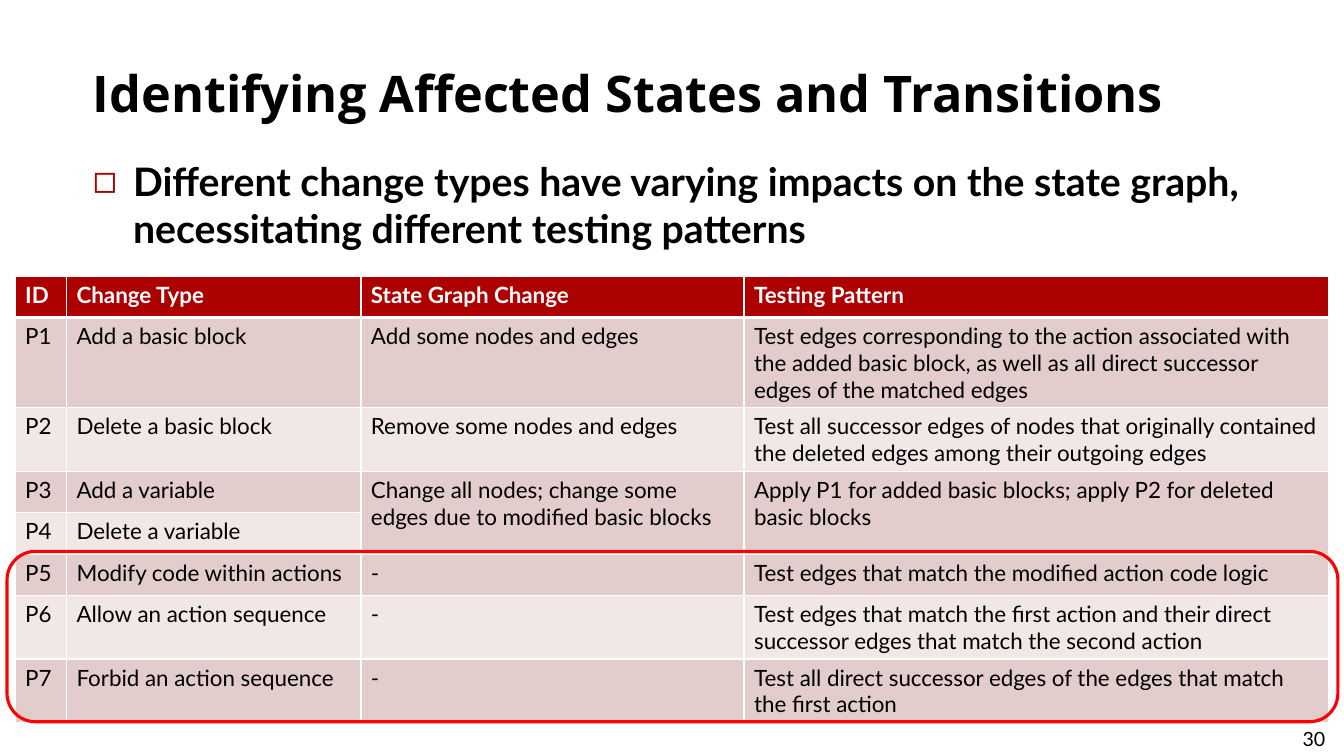
from lxml import etree
from pptx import Presentation
from pptx.dml.color import RGBColor
from pptx.enum.shapes import MSO_SHAPE as Shape
from pptx.enum.text import MSO_ANCHOR as Anchor, MSO_AUTO_SIZE as Auto, PP_ALIGN as Align
from pptx.oxml.ns import qn
from pptx.util import Inches, Pt

RED, WHITE, BLACK = "AD0101", "FFFFFF", "000000"
BANDS = ["E3CCCC", "F1E7E7"]
WIDTHS = [0.51, 2.92, 3.8, 5.8]
ROW = 0.41
ROWS = [
    ["ID", "Change Type", "State Graph Change", "Testing Pattern"],
    ["P1", "Add a basic block", "Add some nodes and edges",
     "Test edges corresponding to the action associated with the added basic block, "
     "as well as all direct successor edges of the matched edges"],
    ["P2", "Delete a basic block", "Remove some nodes and edges",
     "Test all successor edges of nodes that originally contained the deleted edges "
     "among their outgoing edges"],
    ["P3", "Add a variable",
     "Change all nodes; change some edges due to modified basic blocks",
     "Apply P1 for added basic blocks; apply P2 for deleted basic blocks"],
    ["P4", "Delete a variable", None, None],  # None continues the cell above
    ["P5", "Modify code within actions", "-",
     "Test edges that match the modified action code logic"],
    ["P6", "Allow an action sequence", "-",
     "Test edges that match the first action and their direct successor edges "
     "that match the second action"],
    ["P7", "Forbid an action sequence", "-",
     "Test all direct successor edges of the edges that match the first action"],
]


def color(code):
    return RGBColor.from_string(code)


def style(para, size, code=BLACK, bold=False, face="Lato"):
    font = para.font
    font.name, font.size, font.bold = face, Pt(size), bold
    font.color.rgb = color(code)


def place(shape, box):
    shape.left, shape.top, shape.width, shape.height = map(Inches, box)


def add_title(slide, box, text):
    title = slide.shapes.title
    place(title, box)
    frame = title.text_frame
    frame.text = text
    frame.auto_size, frame.vertical_anchor = Auto.NONE, Anchor.BOTTOM
    para = frame.paragraphs[0]
    para.alignment, para.line_spacing = Align.LEFT, Pt(46.7)
    style(para, 36, bold=True, face="Open Sans")


def add_body(slide, box, text):
    body = slide.placeholders[1]
    place(body, box)
    frame = body.text_frame
    frame.text = text
    frame.auto_size = Auto.NONE
    para = frame.paragraphs[0]
    # Hanging square bullet
    props = para._p.get_or_add_pPr()
    props.set("marL", str(Inches(0.4)))
    props.set("indent", str(-Inches(0.4)))
    tint = etree.SubElement(props, qn("a:buClr"))
    etree.SubElement(tint, qn("a:srgbClr"), val=RED)
    etree.SubElement(props, qn("a:buChar"), char="◻")
    para.space_before = Pt(0)
    style(para, 28, bold=True)


def add_edge(cell, side, width):
    props = cell._tc.get_or_add_tcPr()
    line = etree.SubElement(props, qn("a:ln" + side), w=str(Pt(width)))
    fill = etree.SubElement(line, qn("a:solidFill"))
    etree.SubElement(fill, qn("a:srgbClr"), val=WHITE)


def fill_cell(cell, text, row):
    head = row == 0
    for side in "LRTB":
        thick = (side == "B" and head) or (side == "T" and row == 1)
        add_edge(cell, side, 3 if thick else 1)
    cell.fill.solid()
    cell.fill.fore_color.rgb = color(RED if head else BANDS[(row - 1) % 2])
    cell.text = text or ""
    style(cell.text_frame.paragraphs[0], 16, WHITE if head else BLACK, head)


def add_grid(slide, left, top):
    size = sum(WIDTHS), ROW * len(ROWS)
    frame = slide.shapes.add_table(len(ROWS), len(WIDTHS),
                                   *map(Inches, (left, top, *size)))
    table = frame.table
    for col, width in zip(table.columns, WIDTHS):
        col.width = Inches(width)
    for r, texts in enumerate(ROWS):
        table.rows[r].height = Inches(ROW)
        for c, text in enumerate(texts):
            fill_cell(table.cell(r, c), text, r)
            if text is None:
                table.cell(r - 1, c).merge(table.cell(r, c))


def add_frame(slide, box):
    ring = slide.shapes.add_shape(Shape.ROUNDED_RECTANGLE, *map(Inches, box))
    ring.shadow.inherit = False
    ring.fill.background()
    ring.line.color.rgb = color("FF0000")
    ring.line.width = Pt(2.25)


def add_number(slide, box, text):
    frame = slide.shapes.add_textbox(*map(Inches, box)).text_frame
    frame.word_wrap = True
    frame.text = text
    style(frame.paragraphs[0], 14)


def main():
    deck = Presentation()
    deck.slide_width, deck.slide_height = Inches(13.33), Inches(7.5)
    slide = deck.slides.add_slide(deck.slide_layouts[1])
    add_title(slide, (0.82, 0.34, 11.84, 0.93),
              "Identifying Affected States and Transitions")
    add_body(slide, (0.82, 1.51, 11.84, 1.74),
             "Different change types have varying impacts on the state graph, "
             "necessitating different testing patterns")
    add_grid(slide, 0.15, 2.74)
    # Highlight around the last three patterns
    add_frame(slide, (0.07, 5.47, 13.2, 1.69))
    add_number(slide, (12.82, 7.16, 0.48, 0.34), "30")
    deck.save("out.pptx")


if __name__ == "__main__":
    main()
